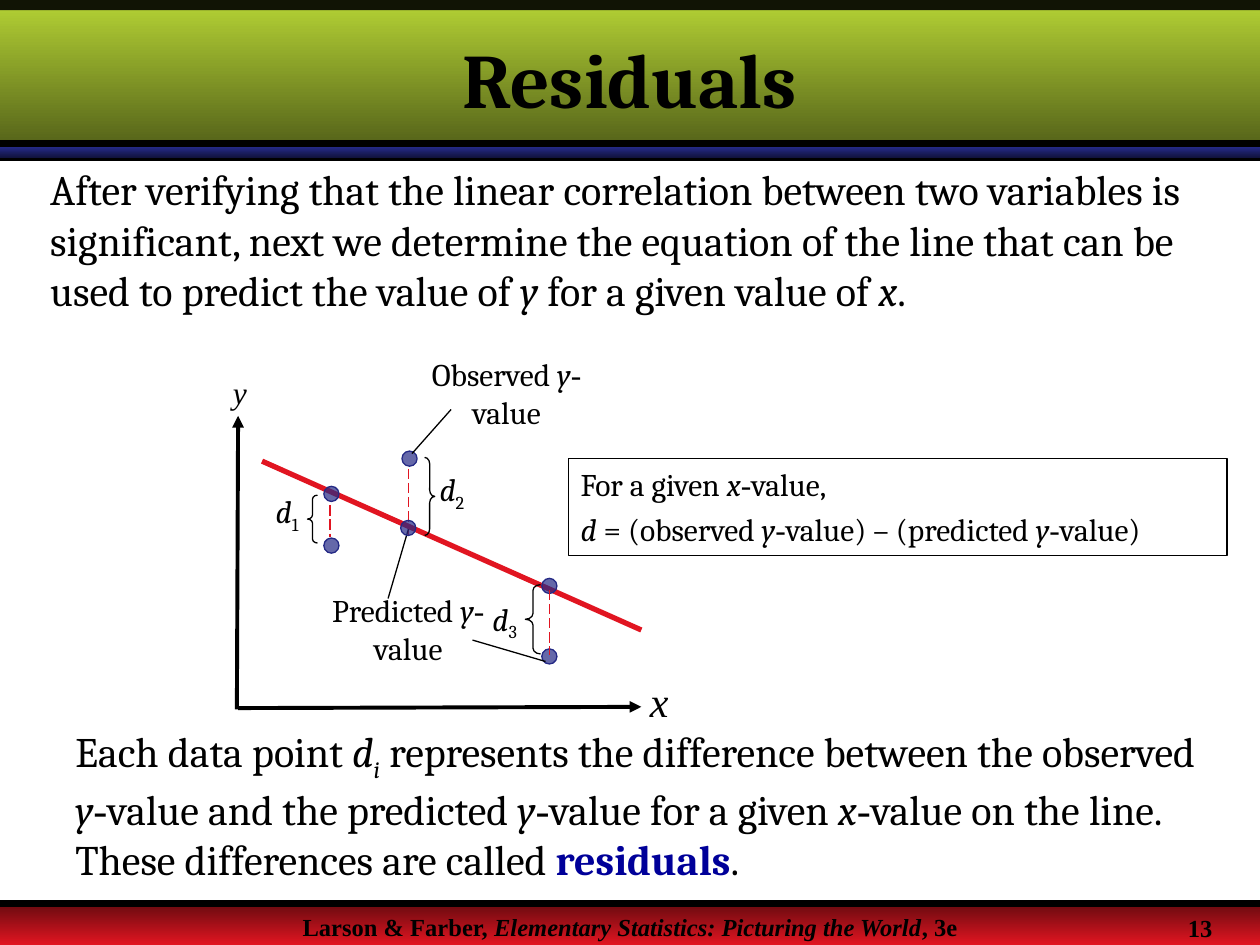
from pptx import Presentation
from pptx.dml.color import RGBColor
from pptx.enum.dml import MSO_LINE
from pptx.enum.shapes import MSO_CONNECTOR, MSO_SHAPE
from pptx.enum.text import MSO_ANCHOR, PP_ALIGN
from pptx.oxml.ns import qn
from pptx.util import Inches, Pt
from lxml import etree

RECT, DOT = MSO_SHAPE.RECTANGLE, MSO_SHAPE.OVAL
LEFT_BRACE, RIGHT_BRACE = MSO_SHAPE.LEFT_BRACE, MSO_SHAPE.RIGHT_BRACE
STRAIGHT = MSO_CONNECTOR.STRAIGHT
DASH = MSO_LINE.LONG_DASH
LEFT, CENTER = PP_ALIGN.LEFT, PP_ALIGN.CENTER
TOP, MIDDLE = MSO_ANCHOR.TOP, MSO_ANCHOR.MIDDLE

COLORS = {
    "black": "000000", "white": "FFFFFF", "red": "E11521", "dark red": "680A0F",
    "blue": "242985", "dark blue": "11133E", "green": "B5D335",
    "dark green": "546219", "term": "000099",
}
SERIF, TIMES = "Cambria", "Times New Roman"

# Run styles: i italic, b bold, s subscript, h Times hyphen, t coloured term
HYPHEN = ("-", "h")
X, Y = [("x", "i"), HYPHEN], [("y", "i"), HYPHEN]


def rgb(name):
    return RGBColor.from_string(COLORS[name])


def add_runs(p, runs, size, font=SERIF):
    for text, style in runs:
        r = p.add_run()
        r.text = text
        r.font.size = Pt(size)
        r.font.name = TIMES if "h" in style else font
        r.font.bold = "b" in style
        r.font.italic = "i" in style
        r.font.color.rgb = rgb("term" if "t" in style else "black")
        if "s" in style:
            r.font._element.set("baseline", "-25000")


def fill_text(tf, paragraphs, size, font=SERIF, align=LEFT, gap=0):
    for i, runs in enumerate(paragraphs):
        p = tf.add_paragraph() if i else tf.paragraphs[0]
        p.alignment = align
        if i:
            p.space_before = Pt(gap)
        add_runs(p, runs, size, font)


def add_text(s, box, runs, size, font=SERIF, align=LEFT, wrap=True):
    tf = s.shapes.add_textbox(*map(Inches, box)).text_frame
    tf.word_wrap = wrap
    fill_text(tf, [runs], size, font, align)


def add_line(s, start, end, color="black", width=0.75, dash=None, arrow=False):
    c = s.shapes.add_connector(STRAIGHT, *map(Inches, start + end))
    c.line.color.rgb = rgb(color)
    c.line.width = Pt(width)
    if dash:
        c.line.dash_style = dash
    if arrow:
        ln = c.line._get_or_add_ln()
        etree.SubElement(ln, qn("a:tailEnd"), type="triangle")
    etree.SubElement(c._element.spPr, qn("a:effectLst"))


def add_shape(s, kind, box, fill=None, alpha=None, line=None):
    sp = s.shapes.add_shape(kind, *map(Inches, box))
    sp.shadow.inherit = False
    if fill:
        sp.fill.solid()
        sp.fill.fore_color.rgb = rgb(fill)
    else:
        sp.fill.background()
    if alpha:
        color = sp._element.spPr.find(".//" + qn("a:srgbClr"))
        etree.SubElement(color, qn("a:alpha"), val=str(alpha * 1000))
    if line:
        sp.line.color.rgb = rgb(line)
        sp.line.width = Pt(0.75)
    else:
        sp.line.fill.background()
    return sp


def add_band(s, top, height, first, last):
    sp = add_shape(s, RECT, (0, top, 10, height))
    sp.fill.gradient()
    sp.fill.gradient_angle = 270
    for stop, name in zip(sp.fill.gradient_stops, (first, last)):
        stop.color.rgb = rgb(name)


def add_brace(s, kind, left, top, width, height):
    sp = add_shape(s, kind, (left, top, width, height), line="black")
    sp.adjustments[0] = height / 12 / width


def add_frame(s):
    add_band(s, 7.17, 0.33, "dark red", "red")
    add_line(s, (0, 1.25), (10, 1.25), width=4)
    add_text(s, (0, 7.19, 10, 0.2),
             [("Larson & Farber, ", "b"),
              ("Elementary Statistics: Picturing the World", "bi"), (", 3e", "b")],
             14, TIMES, CENTER)
    add_band(s, 1.17, 0.08, "blue", "dark blue")
    add_band(s, 0, 1.17, "green", "dark green")
    add_line(s, (0, 7.17), (10, 7.17), width=4)
    add_shape(s, RECT, (0, 0, 10, 0.08), "black", alpha=90)
    add_line(s, (0, 1.14), (10, 1.14), width=4)
    add_text(s, (9.33, 7.2, 0.6, 0.3), [("13", "b")], 14, TIMES, wrap=False)


def add_title(s, text):
    title = s.shapes.title
    title.left, title.top, title.width, title.height = map(Inches, (0, 0.08, 10, 1.08))
    title.text_frame.vertical_anchor = MIDDLE
    fill_text(title.text_frame, [[(text, "b")]], 44, align=CENTER)
    # Bring the title in front of the header band
    title.element.getparent().append(title.element)


def add_graph(s):
    # Residuals, regression line and axes
    add_line(s, (3.24, 3.72), (3.24, 4.25), "red", dash=DASH)
    add_line(s, (3.08, 4.75), (3.25, 4.17))
    add_line(s, (2.08, 3.66), (5.09, 5), "red", 3)
    add_line(s, (1.89, 5.62), (5.09, 5.61), width=2.25, arrow=True)
    add_line(s, (1.88, 5.63), (1.89, 3.3), width=2.25, arrow=True)
    add_text(s, (5.06, 5.31, 0.59, 0.5), [("x", "i")], 24, TIMES)
    add_text(s, (1.75, 2.91, 0.69, 0.4), [("y", "i")], 18, TIMES)

    # Observed and predicted points
    for left, top in ((2.57, 4.27), (2.57, 3.86), (3.19, 3.58),
                      (4.3, 4.59), (3.18, 4.13), (4.3, 5.15)):
        add_shape(s, DOT, (left, top, 0.12, 0.12), "blue", alpha=70, line="blue")
    add_line(s, (2.62, 4.01), (2.62, 4.26), "red", dash=DASH)
    add_line(s, (4.36, 4.68), (4.36, 5.2), "red", dash=DASH)

    # Braces with their names
    for number, (left, top) in enumerate(((2.09, 3.86), (3.39, 3.68), (3.81, 4.71)), 1):
        add_text(s, (left, top, 0.43, 0.44), [("d", "i"), (str(number), "s")],
                 18, wrap=False)
    add_brace(s, LEFT_BRACE, 2.44, 3.93, 0.08, 0.38)
    add_brace(s, RIGHT_BRACE, 3.37, 3.63, 0.08, 0.62)
    add_brace(s, LEFT_BRACE, 4.17, 4.64, 0.12, 0.55)

    # Value labels with their pointers
    for word, left, top in (("Observed ", 3.26, 2.77), ("Predicted ", 2.48, 4.64)):
        add_text(s, (left, top, 1.52, 0.7), [(word, ""), *Y, ("value", "")],
                 18, align=CENTER)
    add_line(s, (3.58, 3.25), (3.27, 3.6))
    add_line(s, (3.75, 5.08), (4.33, 5.25))


def add_formula(s):
    tf = add_shape(s, RECT, (4.51, 3.64, 5.23, 0.77), "white", line="black").text_frame
    tf.word_wrap = True
    tf.vertical_anchor = TOP
    fill_text(tf, [
        [("For a given ", ""), *X, ("value,", "")],
        [("d", "i"), (" = (observed ", ""), *Y, ("value) – (predicted ", ""),
         *Y, ("value)", "")],
    ], 18, gap=4.5)


def main():
    prs = Presentation()
    prs.slide_width, prs.slide_height = Inches(10), Inches(7.5)
    s = prs.slides.add_slide(prs.slide_layouts[5])
    add_frame(s)
    add_title(s, "Residuals")
    add_text(s, (0.3, 1.25, 9.17, 1.71), [
        ("After verifying that the linear correlation between two variables is "
         "significant, next we determine the equation of the line that can be "
         "used to predict the value of ", ""),
        ("y", "i"), (" for a given value of ", ""), ("x", "i"), (".", "")], 24)
    add_text(s, (0.5, 5.71, 9.17, 1.12), [
        ("Each data point ", ""), ("d", "i"), ("i", "is"),
        (" represents the difference between the observed ", ""), *Y,
        ("value and the predicted ", ""), *Y, ("value for a given ", ""), *X,
        ("value on the line. These differences are called ", ""),
        ("residuals", "bt"), (".", "")], 24)
    add_graph(s)
    add_formula(s)
    prs.save("out.pptx")


if __name__ == "__main__":
    main()
